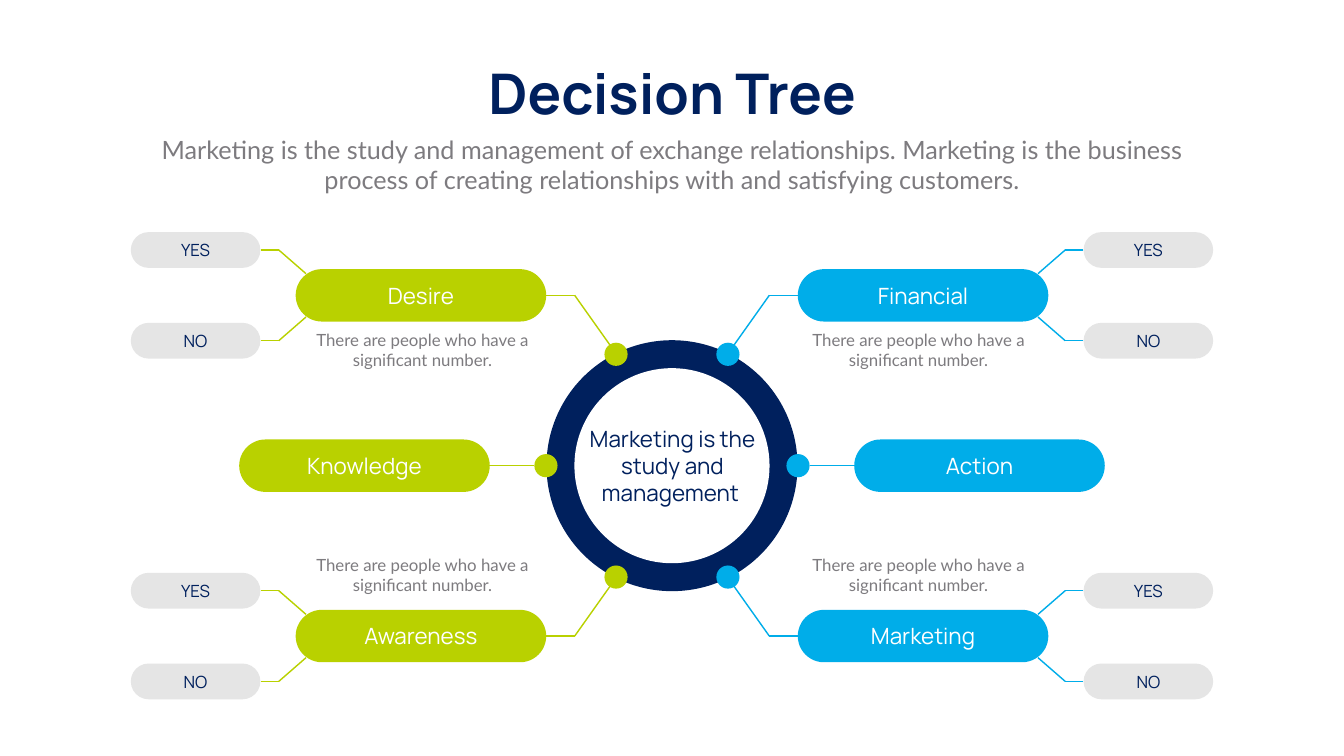
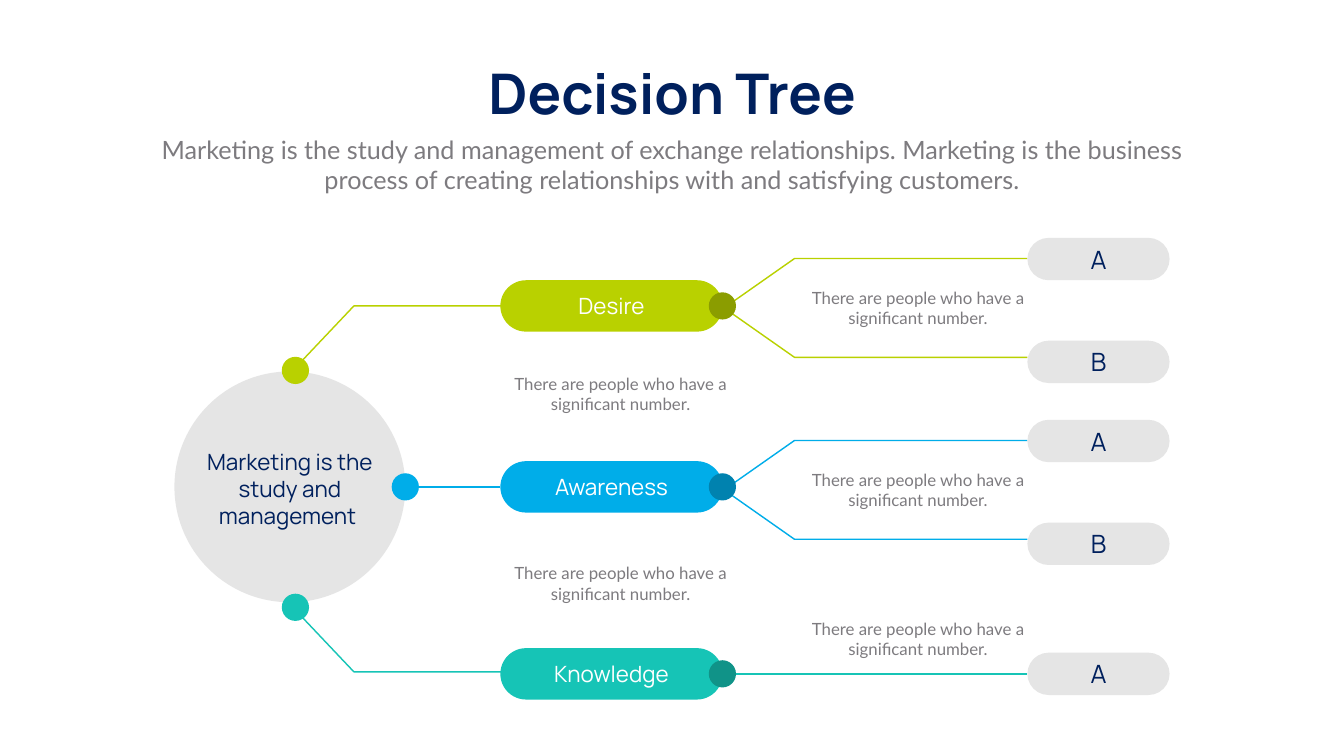
import pptx
import pptx.util
import pptx.dml.color
import pptx.enum.shapes
import pptx.enum.text
import pptx.oxml
import pptx.oxml.ns
from itertools import pairwise

Inches, Pt = pptx.util.Inches, pptx.util.Pt
SHAPE = pptx.enum.shapes.MSO_SHAPE
ANCHOR = pptx.enum.text.MSO_ANCHOR
COLORS = {
    "navy": "00205D", "gray": "7D7B7F", "white": "FFFFFF", "silver": "E5E5E5",
    "lime": "B9D100", "blue": "00ADE9", "teal": "16C4B6",
    "dark lime": "8B9D00", "dark blue": "0082AF", "dark teal": "109388",
}
HEAD_FONT, BODY_FONT = "Manrope", "Lato"
TITLE = "Decision Tree"
SUBTITLE = ("Marketing is the study and management of exchange relationships. "
            "Marketing is the business process of creating relationships "
            "with and satisfying customers.")
HUB_TEXT = "Marketing is the study and management "
CAPTION = "There are people who have a significant number."


def rgb(name):
    return pptx.dml.color.RGBColor.from_string(COLORS[name])


def centered(cx, cy, w, h):
    return Inches(cx - w / 2), Inches(cy - h / 2), Inches(w), Inches(h)


def write(sp, text, size, color, font=HEAD_FONT, bold=False):
    p = sp.text_frame.paragraphs[0]
    p.text = text
    p.alignment = pptx.enum.text.PP_ALIGN.CENTER
    p.font.name = font
    p.font.size = Pt(size)
    p.font.bold = bold
    p.font.color.rgb = rgb(color)
    return p


def add_text(s, cx, cy, w, h, text, size, color, font=HEAD_FONT):
    sp = s.shapes.add_textbox(*centered(cx, cy, w, h))
    sp.text_frame.word_wrap = True
    sp.text_frame.auto_size = pptx.enum.text.MSO_AUTO_SIZE.SHAPE_TO_FIT_TEXT
    write(sp, text, size, color, font)


def add_caption(s, cx, cy):
    add_text(s, cx, cy, 4.97, 0.91, CAPTION, 24, "gray", BODY_FONT)


def add_solid(s, kind, cx, cy, w, h, color):
    sp = s.shapes.add_shape(kind, *centered(cx, cy, w, h))
    sp.shadow.inherit = False
    sp.fill.solid()
    sp.fill.fore_color.rgb = rgb(color)
    sp.line.fill.background()
    return sp


def add_disc(s, cx, cy, d, color):
    add_solid(s, SHAPE.OVAL, cx, cy, d, d, color)


def add_pill(s, cx, cy, w, h, color, text, size, text_color):
    sp = add_solid(s, SHAPE.ROUNDED_RECTANGLE, cx, cy, w, h, color)
    sp.adjustments[0] = 0.5
    sp.text_frame.vertical_anchor = ANCHOR.MIDDLE
    write(sp, text, size, text_color)


def style_line(sp, color):
    sp.line.color.rgb = rgb(color)
    sp.line.width = Pt(2)


def add_links(s, points, color):
    """Join successive points with straight connectors."""
    for a, b in pairwise(points):
        c = s.shapes.add_connector(pptx.enum.shapes.MSO_CONNECTOR.STRAIGHT,
                                   *(Inches(v) for v in (*a, *b)))
        style_line(c, color)
        c._element.spPr.append(pptx.oxml.parse_xml(
            "<a:effectLst %s/>" % pptx.oxml.ns.nsdecls("a")))


def add_elbow(s, points, color):
    """Draw one open bent line through the points."""
    start, *rest = [(Inches(x), Inches(y)) for x, y in points]
    fb = s.shapes.build_freeform(*start)
    fb.add_line_segments(rest, close=False)
    sp = fb.convert_to_shape()
    sp.shadow.inherit = False
    sp.fill.background()
    style_line(sp, color)


def add_header(s):
    for sp, box, wrap, text, style in (
        (s.shapes.title, (9.38, 1.12, 7.91, 1.45), False,
         TITLE, (80, "navy", HEAD_FONT, True)),
        (s.placeholders[1], (2.92, 2.61, 20.82, 1.31), True,
         SUBTITLE, (36, "gray", BODY_FONT)),
    ):
        sp.left, sp.top, sp.width, sp.height = map(Inches, box)
        tf = sp.text_frame
        tf.word_wrap = wrap
        tf.auto_size = pptx.enum.text.MSO_AUTO_SIZE.SHAPE_TO_FIT_TEXT
        tf.vertical_anchor = ANCHOR.TOP
        write(sp, text, *style).space_before = Pt(0)


def add_wheel(s, box):
    """Ring in the middle of the box with three mirrored branches a side."""
    left, top, width, height = box
    cx, cy = left + width / 2, top + height / 2
    sides = ((-1, "lime", ("Desire", "Knowledge", "Awareness")),
             (1, "blue", ("Financial", "Action", "Marketing")))

    def mirrored(side, row, points):
        return [(cx + side * dx, cy + row * dy) for dx, dy in points]

    for side, color, _ in sides:
        add_links(s, mirrored(side, 0, [(3.87, 0), (2.73, 0)]), color)
        for row in (-1, 1):
            add_links(s, mirrored(side, row, [(2.49, 3.38), (1.93, 3.38),
                                              (1.1, 2.21)]), color)
    add_disc(s, cx, cy, 4.98, "navy")
    add_disc(s, cx, cy, 3.87, "white")
    for side, color, labels in sides:
        for row, label in zip((-1, 0, 1), labels):
            y = cy + row * 3.38
            pill_dx, dot_dx = (4.98, 1.11) if row else (6.1, 2.5)
            add_pill(s, cx + side * pill_dx, y, 4.97, 1.04, color,
                     label, 32, "white")
            add_disc(s, cx + side * dot_dx, cy + row * 2.21, 0.46, color)
            if row:
                add_answers(s, cx, y, side, color)
                add_caption(s, cx - 0.03 + side * 4.92, cy - 0.06 + row * 2.23)
    add_text(s, cx + 0.01, cy, 3.49, 1.72, HUB_TEXT, 32, "navy")


def add_answers(s, cx, y, side, color):
    """YES and NO tags at the outer end of a branch at height y."""
    for way, answer in ((-1, "YES"), (1, "NO")):
        add_pill(s, cx + side * 9.45, y + way * 0.9, 2.57, 0.71, "silver",
                 answer, 24, "navy")
        add_links(s, [(cx + side * dx, y + way * dy) for dx, dy in
                      ((8.16, 0.9), (7.8, 0.9), (7.26, 0.43))], color)


def add_tree(s, box):
    """Hub at the left of the box, with branches and lettered options."""
    left, top = box[:2]
    hub_x, hub_y = left + 2.29, top + 4.94
    pill_x, option_x = left + 8.67, left + 18.33
    dot_x, end_x = left + 10.87, left + 16.92

    add_disc(s, hub_x, hub_y, 4.58, "silver")
    add_links(s, [(left + 6.46, hub_y), (left + 4.64, hub_y)], "blue")
    for way, color in ((-1, "lime"), (1, "teal")):
        add_elbow(s, [(left + dx, top + 4.98 + way * dy) for dx, dy in
                      ((2.32, 2.32), (3.56, 3.63), (6.9, 3.63))], color)
        add_disc(s, left + 2.4, top + 4.98 + way * 2.35, 0.54, color)
    add_disc(s, left + 4.58, hub_y, 0.54, "blue")
    add_text(s, hub_x, top + 4.99, 3.91, 1.72, HUB_TEXT, 32, "navy")

    def add_option(y, letter):
        add_pill(s, option_x, y, 2.82, 0.84, "silver", letter, 36, "navy")

    for label, color, dy, fork_dy in (("Desire", "lime", 1.35, 1.39),
                                      ("Awareness", "blue", 4.94, 5.0),
                                      ("Knowledge", "teal", 8.65, None)):
        y = top + dy
        add_pill(s, pill_x, y, 4.41, 1.02, color, label, 32, "white")
        if fork_dy is None:
            add_links(s, [(left + 11.14, y), (end_x, y)], color)
            add_option(y, "A")
            add_caption(s, left + 14.75, y - 0.69)
        else:
            fork_y = top + fork_dy
            for way, letter in ((-1, "A"), (1, "B")):
                add_elbow(s, [(left + 11.06, fork_y + way * 0.11),
                              (left + 12.3, fork_y + way * 0.98),
                              (end_x, fork_y + way * 0.98)], color)
                add_option(fork_y + 0.05 + way * 1.02, letter)
            add_caption(s, left + 14.75, fork_y)
        add_disc(s, dot_x, y, 0.54, "dark " + color)
    for dy in (3.1, 6.86):
        add_caption(s, left + 8.85, top + dy)


def main():
    prs = pptx.Presentation()
    prs.slide_width, prs.slide_height = Inches(26.66), Inches(15)
    for add_diagram, box in ((add_wheel, (2.59, 4.6, 21.48, 9.28)),
                             (add_tree, (3.46, 4.72, 19.74, 9.17))):
        s = prs.slides.add_slide(prs.slide_layouts[0])
        add_header(s)
        add_diagram(s, box)
    prs.save("out.pptx")


if __name__ == "__main__":
    main()
